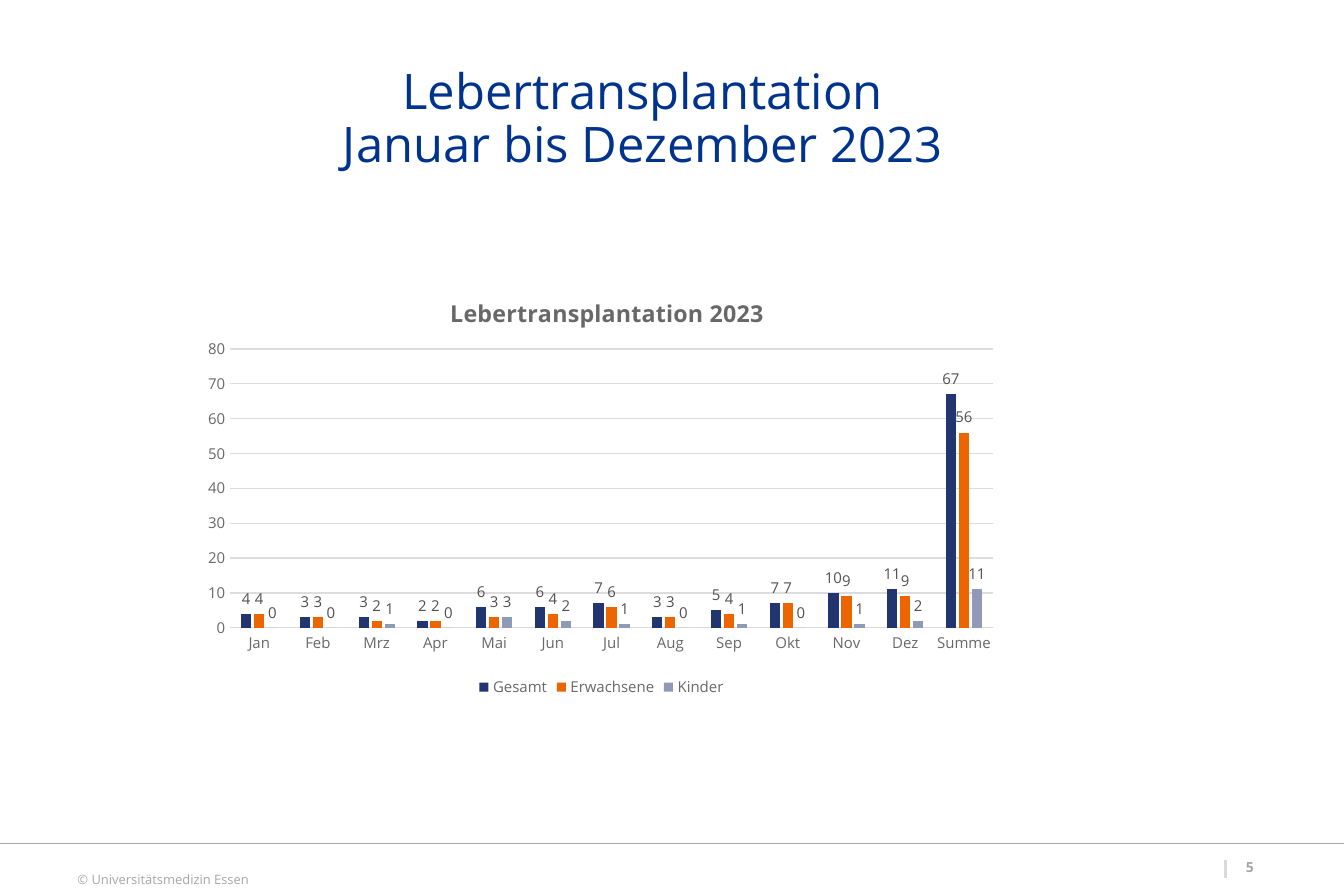
import pptx
import pptx.chart.data
import pptx.dml.color
import pptx.enum.chart
import pptx.enum.shapes
import pptx.enum.text
import pptx.oxml
import pptx.oxml.ns
import pptx.util
from pptx.util import Pt

FONT = "Open Sans"
COLORS = {
    "title": "00338D", "footer": "A6A6A6", "divider": "D9D9D9",
    "grid": "DCDCDC", "axis": "686868", "label": "515151", "chart": "171717",
    "Gesamt": "223570", "Erwachsene": "EC6500", "Kinder": "909AB7",
}


def style_font(font, size, color, bold=False):
    font.name = FONT
    font.size = Pt(size)
    font.bold = bold
    font.color.rgb = pptx.dml.color.RGBColor.from_string(COLORS[color])


def set_layout(parent, index, target="", **values):
    for layout in parent.findall(pptx.oxml.ns.qn("c:layout")):
        parent.remove(layout)
    items = "".join(f'<c:{key} val="{value}"/>' for key, value in values.items())
    modes = '<c:xMode val="edge"/><c:yMode val="edge"/>'
    parent.insert(index, pptx.oxml.parse_xml(
        f'<c:layout {pptx.oxml.ns.nsdecls("c")}><c:manualLayout>'
        f'{target}{modes}{items}</c:manualLayout></c:layout>'))


presentation = pptx.Presentation()
presentation.slide_width, presentation.slide_height = Pt(810), Pt(540)
slide = presentation.slides.add_slide(presentation.slide_layouts[6])

# Footer text
footer = slide.shapes.add_textbox(Pt(39.6), Pt(519.8), Pt(120.2), Pt(18))
footer.text_frame.word_wrap = False
footer.text_frame.auto_size = pptx.enum.text.MSO_AUTO_SIZE.SHAPE_TO_FIT_TEXT
run = footer.text_frame.paragraphs[0].add_run()
run.text = "© Universitätsmedizin Essen"
style_font(run.font, 13.5, "footer")
run._r.get_or_add_rPr().set("baseline", "30000")

# Footer lines
for x1, y1, x2, y2, color, width in (
    (738.7, 518.4, 738.7, 529.2, "divider", 1.5),
    (0, 508.3, 810, 508.3, "footer", 0.75),
):
    line = slide.shapes.add_connector(
        pptx.enum.shapes.MSO_CONNECTOR.STRAIGHT, Pt(x1), Pt(y1), Pt(x2), Pt(y2))
    line.line.color.rgb = pptx.dml.color.RGBColor.from_string(COLORS[color])
    line.line.width = Pt(width)
    line._element.spPr.append(
        pptx.oxml.parse_xml(f'<a:effectLst {pptx.oxml.ns.nsdecls("a")}/>'))

# Page number
page_number = slide.shapes.add_textbox(Pt(743.8), Pt(514.1), Pt(36.7), Pt(20.2))
page_number.text_frame.word_wrap = True
run = page_number.text_frame.paragraphs[0].add_run()
run.text = "5"
style_font(run.font, 8.4, "footer", bold=True)

# Title
title = slide.shapes.add_textbox(Pt(82.1), Pt(25.9), Pt(617.8), Pt(87.1))
frame = title.text_frame
frame.word_wrap = True
frame.vertical_anchor = pptx.enum.text.MSO_ANCHOR.BOTTOM
frame.margin_left, frame.margin_right = Pt(0), Pt(7.2)
frame.margin_top = frame.margin_bottom = Pt(8.6)
for number, text in enumerate(("Lebertransplantation", "Januar bis Dezember 2023")):
    paragraph = frame.add_paragraph() if number else frame.paragraphs[0]
    paragraph.alignment = pptx.enum.text.PP_ALIGN.CENTER
    paragraph.line_spacing = 0.9
    run = paragraph.add_run()
    run.text = text
    style_font(run.font, 29.5, "title")

# Chart data
chart_data = pptx.chart.data.CategoryChartData()
chart_data.categories = ["Jan", "Feb", "Mrz", "Apr", "Mai", "Jun", "Jul",
                         "Aug", "Sep", "Okt", "Nov", "Dez", "Summe"]
chart_data.add_series("Gesamt", (4, 3, 3, 2, 6, 6, 7, 3, 5, 7, 10, 11, 67))
chart_data.add_series("Erwachsene", (4, 3, 2, 2, 3, 4, 6, 3, 4, 7, 9, 9, 56))
chart_data.add_series("Kinder", (0, 0, 1, 0, 3, 2, 1, 0, 1, 0, 1, 2, 11))
chart = slide.shapes.add_chart(
    pptx.enum.chart.XL_CHART_TYPE.COLUMN_CLUSTERED,
    Pt(115.9), Pt(162), Pt(493.2), Pt(261.4), chart_data).chart
style_font(chart.font, 10, "chart")

# Chart title and plot position
chart.has_title = True
run = chart.chart_title.text_frame.paragraphs[0].add_run()
run.text = "Lebertransplantation 2023"
style_font(run.font, 14, "axis", bold=True)
set_layout(chart.chart_title._element, 1, x=0.31, y=0.05)
set_layout(chart._chartSpace.chart.plotArea, 0, '<c:layoutTarget val="inner"/>',
           x=0.046, y=0.185, w=0.933, h=0.643)

# Legend
chart.has_legend = True
chart.legend.position = pptx.enum.chart.XL_LEGEND_POSITION.BOTTOM
chart.legend.include_in_layout = False
style_font(chart.legend.font, 9, "axis")

# Axes
for axis in (chart.category_axis, chart.value_axis):
    axis.major_tick_mark = axis.minor_tick_mark = pptx.enum.chart.XL_TICK_MARK.NONE
    style_font(axis.tick_labels.font, 9, "axis")
chart.value_axis.minimum_scale = 0
chart.value_axis.maximum_scale = 80
chart.value_axis.major_unit = 10
chart.value_axis.format.line.fill.background()
for line_format in (chart.category_axis.format.line,
                    chart.value_axis.major_gridlines.format.line):
    line_format.color.rgb = pptx.dml.color.RGBColor.from_string(COLORS["grid"])
    line_format.width = Pt(0.75)

# Columns and labels
plot = chart.plots[0]
plot.gap_width, plot.overlap = 219, -27
plot.vary_by_categories = False
for series in plot.series:
    series.invert_if_negative = False
    series.format.fill.solid()
    series.format.fill.fore_color.rgb = pptx.dml.color.RGBColor.from_string(
        COLORS[series.name])
    labels = series.data_labels
    labels.show_value = True
    labels.position = pptx.enum.chart.XL_LABEL_POSITION.OUTSIDE_END
    style_font(labels.font, 9, "label")

presentation.save("out.pptx")
